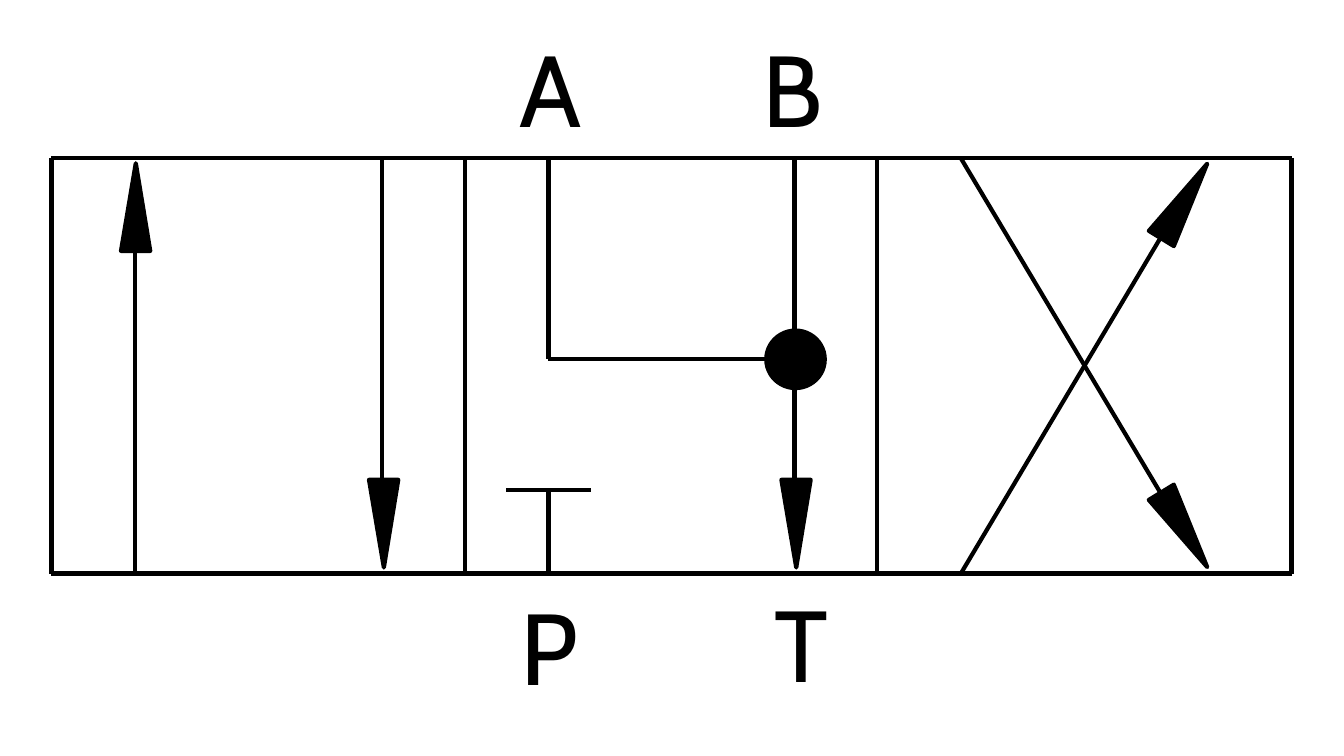
from lxml import etree
from pptx import Presentation
from pptx import util as u
from pptx.dml.color import RGBColor
from pptx.enum import shapes, text
from pptx.oxml.ns import qn

PX = 9144
COLOURS = {"ink": "000000", "paper": "FFFFFF"}
FONT = "Cabin"
LINE_WIDTH = 3
TOP, BOTTOM = 157, 569
LEFT, RIGHT = 51, 1281
DIVIDERS = (461, 870)
PORT_A, PORT_B = 544, 788
JUNCTION = 356
STOP = 486

LINES = [
    (LEFT, TOP, RIGHT, TOP),
    (LEFT, BOTTOM, RIGHT, BOTTOM),
    *[(x, TOP, x, BOTTOM) for x in (LEFT, *DIVIDERS, RIGHT)],
    (953, TOP, 1151, 489),
    (1151, 236, 953, BOTTOM),
    (502, STOP, 586, STOP),
    (PORT_A, BOTTOM, PORT_A, STOP),
    (PORT_A, JUNCTION, PORT_A, TOP),
    (PORT_A, JUNCTION, PORT_B, JUNCTION),
    (PORT_B, JUNCTION, PORT_B, TOP),
    (PORT_B, 476, PORT_B, 276),
    (379, TOP, 379, STOP),
    (134, BOTTOM, 134, 238),
]
ARROWHEADS = [
    (120, 162, 0, 0.507),
    (366, 476, 180, 0.493),
    (775, 476, 180, 0.493),
    (1160, 482, 148.6, 0.493),
    (1160, 156, 31.4, 0.507),
]
PORTS = [("A", 505, 22), ("B", 746, 22), ("P", 506, 575), ("T", 758, 572)]


def px(value):
    return u.Emu(value * PX)


def colour(name):
    return RGBColor.from_string(COLOURS[name])


def style_line(shape):
    shape.line.color.rgb = colour("ink")
    shape.line.width = u.Pt(LINE_WIDTH)


def add_line(group, *ends):
    line = group.shapes.add_connector(
        shapes.MSO_CONNECTOR.STRAIGHT, *map(px, ends))
    style_line(line)
    etree.SubElement(line._element.spPr, qn("a:effectLst"))


def add_solid(group, kind, left, top, width, height):
    solid = group.shapes.add_shape(kind, *map(px, (left, top, width, height)))
    solid.shadow.inherit = False
    solid.fill.solid()
    solid.fill.fore_color.rgb = colour("ink")
    style_line(solid)
    return solid


def add_arrowhead(group, left, top, rotation, tip):
    head = add_solid(group, shapes.MSO_SHAPE.ISOSCELES_TRIANGLE,
                     left, top, 29, 87)
    head.adjustments[0] = tip
    head.rotation = rotation


def add_port(group, letter, left, top):
    box = group.shapes.add_textbox(*map(px, (left, top, 84, 131)))
    frame = box.text_frame
    frame.word_wrap = True
    frame.auto_size = text.MSO_AUTO_SIZE.SHAPE_TO_FIT_TEXT
    span = frame.paragraphs[0].add_run()
    span.text = letter
    span.font.name = FONT
    span.font.size = u.Pt(72)
    span.font.color.rgb = colour("ink")


def main():
    deck = Presentation()
    deck.slide_width, deck.slide_height = px(1333), px(750)
    page = deck.slides.add_slide(deck.slide_layouts[6])
    page.background.fill.solid()
    page.background.fill.fore_color.rgb = colour("paper")
    valve = page.shapes.add_group_shape()
    for ends in LINES:
        add_line(valve, *ends)
    for arrowhead in ARROWHEADS:
        add_arrowhead(valve, *arrowhead)
    add_solid(valve, shapes.MSO_SHAPE.OVAL, 760, 328, 58, 57)
    for port in PORTS:
        add_port(valve, *port)
    deck.save("out.pptx")


if __name__ == "__main__":
    main()
